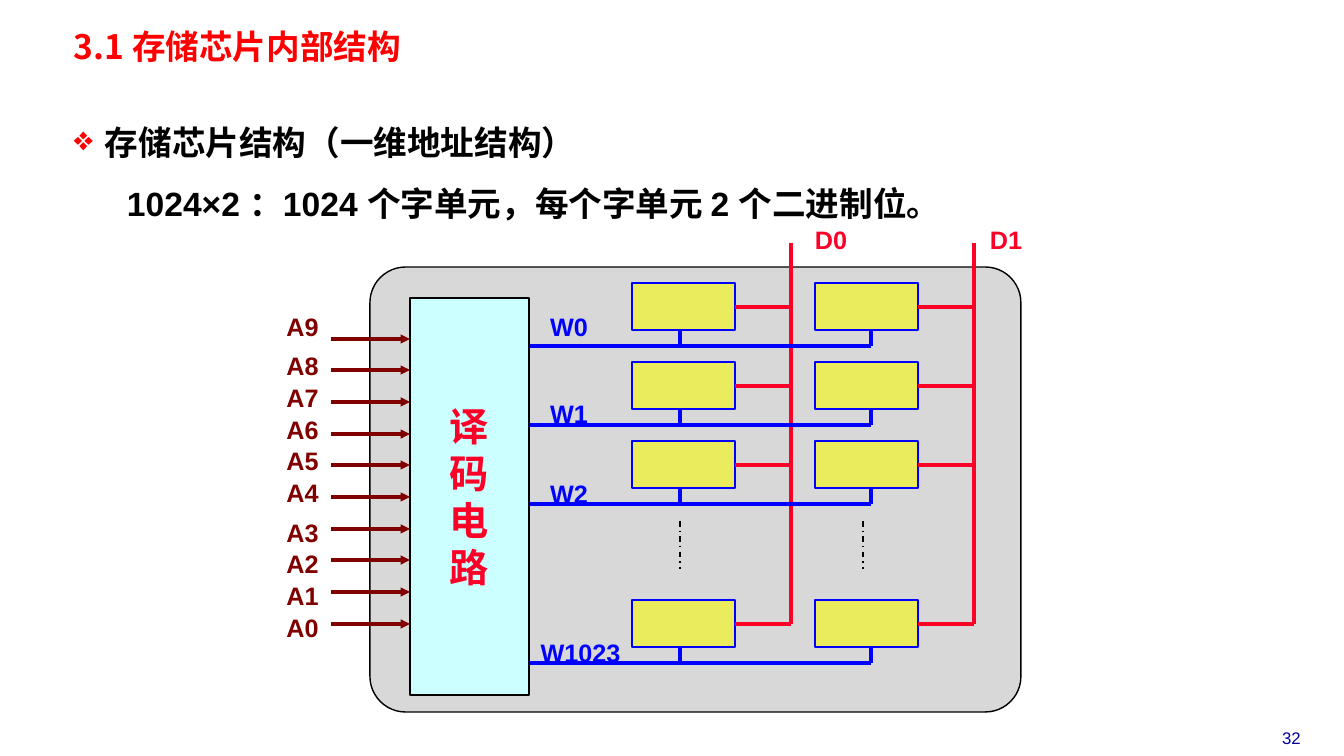
from dataclasses import dataclass

from pptx import Presentation
from pptx.dml.color import RGBColor
from pptx.enum.dml import MSO_LINE
from pptx.enum.shapes import MSO_CONNECTOR, MSO_SHAPE as SHAPE
from pptx.enum.text import MSO_ANCHOR as ANCHOR, PP_ALIGN as ALIGN
from pptx.oxml.ns import qn
from pptx.util import Emu, Pt
from lxml.etree import SubElement

EMU_PER_INCH = 914400
PX_PER_INCH = 100.8


def px(length):
    return Emu(round(length * EMU_PER_INCH / PX_PER_INCH))


@dataclass(frozen=True)
class Theme:
    latin: str = "Arial"
    cjk: str = "Noto Sans CJK SC"
    heading: str = "FF0000"
    ink: str = "000000"
    page: str = "000099"
    chip: str = "BFBFBF"
    cell: str = "EAEC5E"
    decoder: str = "CCFFFF"
    word: str = "0000FF"
    data: str = "FC0128"
    address: str = "800000"
    page_size: int = 12
    label_size: int = 18
    body_size: int = 24
    decoder_size: int = 28
    hairline: float = 1
    border: float = 1.5
    wire: float = 2.25


class Sketch:
    """Draws themed elements on the current slide in px."""

    def __init__(self, slide, theme):
        self.slide = slide
        self.theme = theme

    def style(self, paragraph, size, color, bold=True, face=None):
        font = paragraph.font
        font.size, font.bold = Pt(size), bold
        font.name = face or self.theme.latin
        font.color.rgb = RGBColor.from_string(color)
        properties = paragraph._p.pPr.find(qn("a:defRPr"))
        SubElement(properties, qn("a:ea")).set("typeface", self.theme.cjk)

    def text(self, left, top, width, height, lines, size, color, bold=True,
             face=None, align=ALIGN.CENTER, spacing=None, inset=(10, 5),
             indents=(), bullet=None):
        box = self.slide.shapes.add_textbox(px(left), px(top), px(width), px(height))
        frame = box.text_frame
        frame.word_wrap = True
        frame.margin_left = frame.margin_right = px(inset[0])
        frame.margin_top = frame.margin_bottom = px(inset[1])
        frame.text = "\n".join(lines)
        for index, paragraph in enumerate(frame.paragraphs):
            paragraph.alignment = align
            paragraph.line_spacing = spacing
            properties = paragraph._p.get_or_add_pPr()
            if indents:
                margin, hang = indents[index]
                properties.set("marL", str(px(margin)))
                properties.set("indent", str(px(hang)))
            if bullet and index == 0:
                tint = SubElement(properties, qn("a:buClr"))
                SubElement(tint, qn("a:srgbClr")).set("val", self.theme.heading)
                SubElement(properties, qn("a:buChar")).set("char", bullet)
            self.style(paragraph, size, color, bold, face)

    def label(self, left, top, width, wording, color):
        self.text(left, top, width, 40, [wording], self.theme.label_size, color)

    def block(self, kind, left, top, width, height, fill, line, weight):
        block = self.slide.shapes.add_shape(kind, px(left), px(top), px(width), px(height))
        block.shadow.inherit = False
        block.fill.solid()
        block.fill.fore_color.rgb = RGBColor.from_string(fill)
        block.line.color.rgb = RGBColor.from_string(line)
        block.line.width = Pt(weight)
        return block

    def chip(self, left, top, width, height):
        chip = self.block(SHAPE.ROUNDED_RECTANGLE, left, top, width, height,
                          self.theme.chip, self.theme.ink, self.theme.hairline)
        chip.adjustments[0] = 0.08
        tint = chip._element.spPr.find(qn("a:solidFill"))[0]
        SubElement(tint, qn("a:alpha")).set("val", "60000")

    def decoder(self, left, top, width, height, wording):
        theme = self.theme
        decoder = self.block(SHAPE.RECTANGLE, left, top, width, height,
                             theme.decoder, theme.ink, theme.hairline)
        frame = decoder.text_frame
        frame.word_wrap = False
        frame.vertical_anchor = ANCHOR.MIDDLE
        frame.text = "\n".join(wording)
        for paragraph in frame.paragraphs:
            paragraph.alignment = ALIGN.CENTER
            self.style(paragraph, theme.decoder_size, theme.data, face=theme.cjk)

    def wire(self, x1, y1, x2, y2, color, weight=None, dash=None, arrow=False):
        wire = self.slide.shapes.add_connector(
            MSO_CONNECTOR.STRAIGHT, px(x1), px(y1), px(x2), px(y2))
        wire.line.color.rgb = RGBColor.from_string(color)
        wire.line.width = Pt(weight or self.theme.wire)
        if dash:
            wire.line.dash_style = dash
        if arrow:
            SubElement(wire.line._ln, qn("a:tailEnd")).set("type", "triangle")
        SubElement(wire._element.spPr, qn("a:effectLst"))


def main():
    theme = Theme()
    deck = Presentation()
    deck.slide_width, deck.slide_height = px(1344), px(756)
    sketch = Sketch(deck.slides.add_slide(deck.slide_layouts[6]), theme)

    sketch.text(1244, 723, 95, 30, ["32"], theme.page_size, theme.page, bold=False)
    sketch.chip(370, 267, 651, 445)
    sketch.text(67, 28, 647, 41, ["3.1 存储芯片内部结构"], theme.body_size,
                theme.heading, face=theme.cjk, align=ALIGN.LEFT, spacing=0.87,
                inset=(7, 3))
    sketch.text(67, 99, 954, 120,
                ["存储芯片结构（一维地址结构）",
                 "1024×2 ：1024 个字单元，每个字单元 2 个二进制位。"],
                theme.body_size, theme.ink, align=ALIGN.LEFT, spacing=1.5,
                inset=(7, 3), indents=[(31, -31), (74, -21)], bullet="❖")

    row_tops = [283 + slot * 317 // 4 for slot in (0, 1, 2, 4)]
    for column, (bit, bit_left) in enumerate([("D0", 791), ("D1", 966)]):
        shift = column * 183
        for top in row_tops:
            sketch.block(SHAPE.RECTANGLE, 632 + shift, top, 103, 47,
                         theme.cell, theme.word, theme.border)
            sketch.wire(735 + shift, top + 24, 791 + shift, top + 24, theme.data)
        sketch.wire(680 + shift, 521, 680 + shift, 569, theme.ink,
                    theme.hairline, MSO_LINE.DASH_DOT)
        sketch.wire(791 + shift, 243, 791 + shift, 624, theme.data)
        sketch.label(bit_left, 219, 80, bit, theme.data)

    words = [("W0", 537, 306, 64), ("W1", 537, 393, 64),
             ("W2", 537, 473, 64), ("W1023", 529, 632, 103)]
    for top, (word, left, label_top, width) in zip(row_tops, words):
        sketch.wire(529, top + 63, 871, top + 63, theme.word)
        for stub in (680, 871):
            sketch.wire(stub, top + 47, stub, top + 63, theme.word)
        sketch.label(left, label_top, width, word, theme.word)

    sketch.decoder(410, 298, 119, 397, "译码电路")
    for line in range(10):
        drop = line * 95 // 3
        sketch.wire(331, 339 + drop, 410, 339 + drop, theme.address, arrow=True)
        group_gap = (line + 4) // 5 * 8
        sketch.label(275, 306 + drop + group_gap, 55, f"A{9 - line}", theme.address)

    deck.save("out.pptx")


if __name__ == "__main__":
    main()
